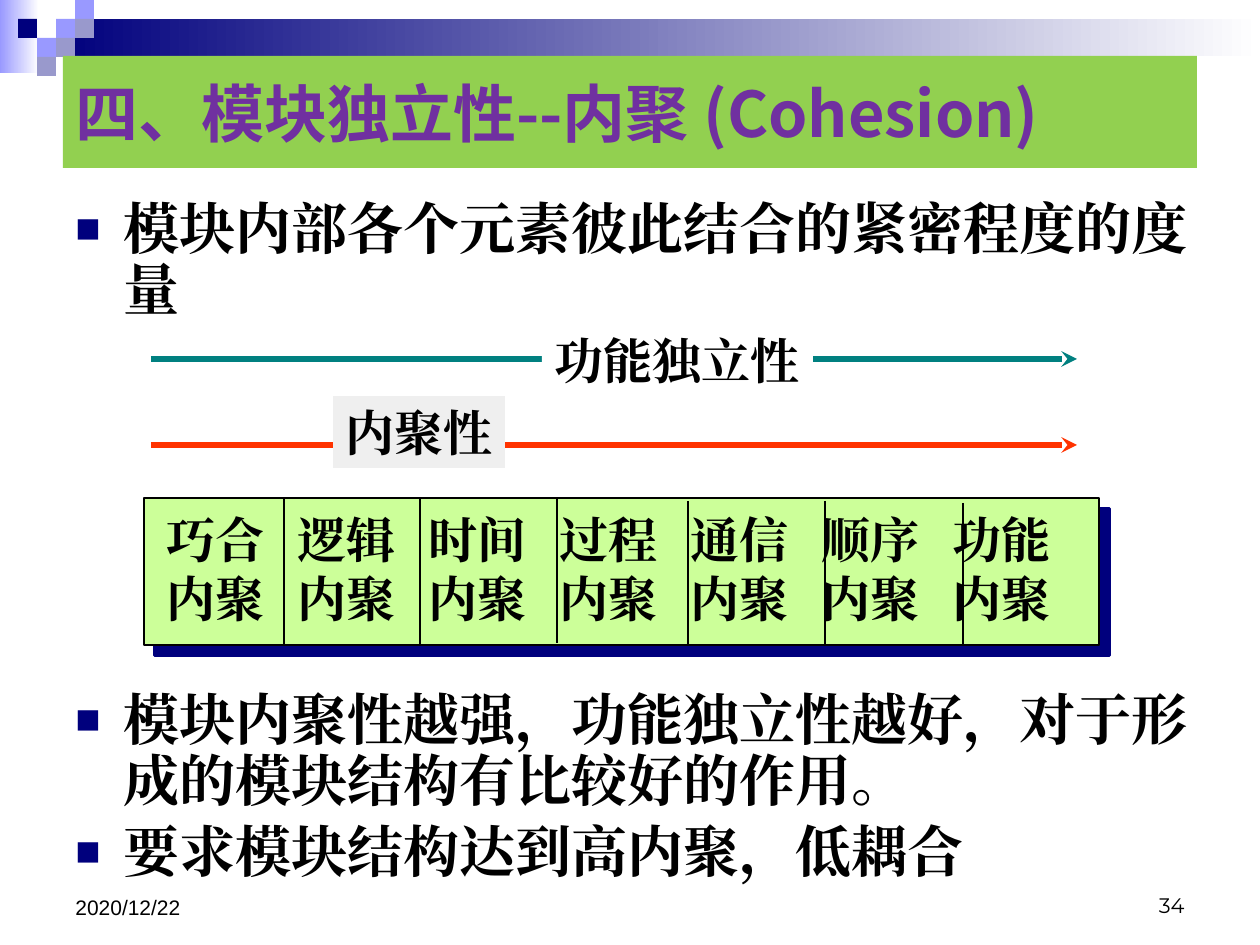
import typing

import lxml.etree
import pptx
import pptx.dml.color
import pptx.enum.shapes
import pptx.enum.text
import pptx.oxml.ns
import pptx.util

Color = pptx.dml.color.RGBColor
Anchor = pptx.enum.text.MSO_ANCHOR
Align = pptx.enum.text.PP_ALIGN

SCALE = 914400 / 126

NAVY = Color(0x00, 0x00, 0x7D)
PERIWINKLE = Color(0x99, 0x99, 0xFF)
LAVENDER = Color(0x99, 0x99, 0xCC)
WHITE = Color(0xFF, 0xFF, 0xFF)
BLACK = Color(0x00, 0x00, 0x00)
GREEN = Color(0x92, 0xD0, 0x50)
PURPLE = Color(0x70, 0x30, 0xA0)
LIME = Color(0xCC, 0xFF, 0x99)
TEAL = Color(0x00, 0x80, 0x80)
RED = Color(0xFF, 0x33, 0x00)
GRAY = Color(0xEF, 0xEF, 0xEF)

SERIF = "Times New Roman"
SANS = "Noto Sans CJK JP"


class Area(typing.NamedTuple):
    left: int
    top: int
    width: int
    height: int


class Tile(typing.NamedTuple):
    column: int
    row: int
    color: Color


class Divider(typing.NamedTuple):
    x: int
    top: int
    bottom: int


class Arrow(typing.NamedTuple):
    y: int
    color: Color
    text: str
    label: Area
    label_fill: Color


TILES = [
    Tile(2, 1, PERIWINKLE), Tile(3, 0, PERIWINKLE), Tile(3, 1, LAVENDER),
    Tile(1, 2, PERIWINKLE), Tile(0, 1, NAVY), Tile(2, 2, LAVENDER),
    Tile(1, 3, LAVENDER),
]
DIVIDERS = [
    Divider(284, 498, 644), Divider(420, 498, 644), Divider(557, 499, 643),
    Divider(688, 501, 646), Divider(825, 501, 646), Divider(963, 503, 646),
]
ARROWS = [
    Arrow(359, TEAL, "功能独立性", Area(542, 324, 271, 72), WHITE),
    Arrow(445, RED, "内聚性", Area(333, 396, 172, 72), GRAY),
]
KINDS = ["巧合", "逻辑", "时间", "过程", "通信", "顺序", "功能"]


def px(value: float) -> int:
    return round(value * SCALE)


def add_xml(parent, tag: str, **attributes: str):
    child = lxml.etree.SubElement(parent, pptx.oxml.ns.qn(tag))
    for name, value in attributes.items():
        child.set(name, value)
    return child


def add_box(slide, area: Area, fill: Color, fade_to: Color | None = None,
            outline: Color | None = None):
    box = slide.shapes.add_shape(
        pptx.enum.shapes.MSO_SHAPE.RECTANGLE, *map(px, area))
    box.shadow.inherit = False
    if fade_to is None:
        box.fill.solid()
        box.fill.fore_color.rgb = fill
    else:
        box.fill.gradient()
        box.fill.gradient_angle = 0
        for stop, color, position in zip(
                box.fill.gradient_stops, (fill, fade_to), (0, 1)):
            stop.color.rgb = color
            stop.position = position
    if outline is None:
        box.line.fill.background()
    else:
        box.line.color.rgb = outline
        box.line.width = pptx.util.Pt(1.5)
    return box


def add_line(slide, start: tuple[int, int], end: tuple[int, int],
             color: Color, width: float, arrow: bool = False) -> None:
    line = slide.shapes.add_connector(
        pptx.enum.shapes.MSO_CONNECTOR.STRAIGHT, *map(px, start + end))
    line.line.color.rgb = color
    line.line.width = pptx.util.Pt(width)
    if arrow:
        add_xml(line.line._get_or_add_ln(), "a:tailEnd", type="stealth")
    add_xml(line._element.spPr, "a:effectLst")


def add_bullet(para) -> None:
    properties = para._p.get_or_add_pPr()
    properties.set("marL", str(px(48)))
    properties.set("indent", str(px(-48)))
    add_xml(add_xml(properties, "a:buClr"), "a:srgbClr", val=str(NAVY))
    add_xml(properties, "a:buSzPct", val="75000")
    add_xml(properties, "a:buFont", typeface="Arial")
    add_xml(properties, "a:buChar", char="■")


def add_text(slide, area: Area, lines: list[str], *, size: int = 28,
             font: str = SERIF, color: Color = BLACK, bold: bool = True,
             align: Align = Align.LEFT, anchor: Anchor = Anchor.TOP,
             wrap: bool = False, bullets: bool = False,
             fill: Color | None = None) -> None:
    if fill is None:
        box = slide.shapes.add_textbox(*map(px, area))
    else:
        box = add_box(slide, area, fill)
    frame = box.text_frame
    frame.word_wrap = wrap
    frame.vertical_anchor = anchor
    for index, line in enumerate(lines):
        para = frame.paragraphs[0] if index == 0 else frame.add_paragraph()
        if bullets:
            add_bullet(para)
            para.line_spacing = 0.9
            if index:
                para.space_before = pptx.util.Pt(size * 0.2)
        para.alignment = align
        span = para.add_run()
        span.text = line
        span.font.size = pptx.util.Pt(size)
        span.font.name = font
        span.font.bold = bold
        span.font.color.rgb = color
        add_xml(span._r.get_or_add_rPr(), "a:ea", typeface=font)


def draw_banner(slide) -> None:
    add_box(slide, Area(0, 0, 39, 73), PERIWINKLE, fade_to=WHITE)
    add_box(slide, Area(57, 19, 1203, 37), NAVY, fade_to=WHITE)
    for tile in TILES:
        add_box(slide, Area(18 + 19 * tile.column, 19 * tile.row, 19, 19),
                tile.color)


def draw_scale(slide) -> None:
    panel = add_box(slide, Area(144, 498, 955, 147), LIME, outline=BLACK)
    shadow = add_xml(panel._element.spPr.find(pptx.oxml.ns.qn("a:effectLst")),
                     "a:outerShdw", dist=str(pptx.util.Pt(8.5)),
                     dir="2700000", algn="ctr", rotWithShape="0")
    add_xml(shadow, "a:srgbClr", val=str(NAVY))
    for index, kind in enumerate(KINDS):
        add_text(slide, Area(154 + 131 * index, 503, 124, 130),
                 [kind, "内聚"])
    for divider in DIVIDERS:
        add_line(slide, (divider.x, divider.top), (divider.x, divider.bottom),
                 BLACK, 1.5)
    for arrow in ARROWS:
        add_line(slide, (151, arrow.y), (1077, arrow.y), arrow.color, 3,
                 arrow=True)
        add_text(slide, arrow.label, [arrow.text], fill=arrow.label_fill)


def main() -> None:
    deck = pptx.Presentation()
    deck.slide_width, deck.slide_height = px(1260), px(945)
    page = deck.slides.add_slide(deck.slide_layouts[6])
    draw_banner(page)
    add_text(page, Area(903, 861, 294, 63), ["34"], size=12,
             font="Montserrat", bold=False, align=Align.RIGHT,
             anchor=Anchor.BOTTOM, wrap=True)
    add_text(page, Area(63, 861, 294, 65), ["2020/12/22"], size=12,
             font="Arial", bold=False, anchor=Anchor.BOTTOM, wrap=True)
    add_text(page, Area(63, 56, 1134, 112),
             ["四、模块独立性--内聚 (Cohesion)"], size=36, font=SANS,
             color=PURPLE, anchor=Anchor.MIDDLE, wrap=True, fill=GREEN)
    add_text(page, Area(63, 195, 1153, 130),
             ["模块内部各个元素彼此结合的紧密程度的度量"],
             size=32, wrap=True, bullets=True)
    add_text(page, Area(63, 686, 1153, 210),
             ["模块内聚性越强，功能独立性越好，对于形成的模块结构有比较好的作用。",
              "要求模块结构达到高内聚，低耦合"],
             size=32, wrap=True, bullets=True)
    draw_scale(page)
    deck.save("out.pptx")


if __name__ == "__main__":
    main()
